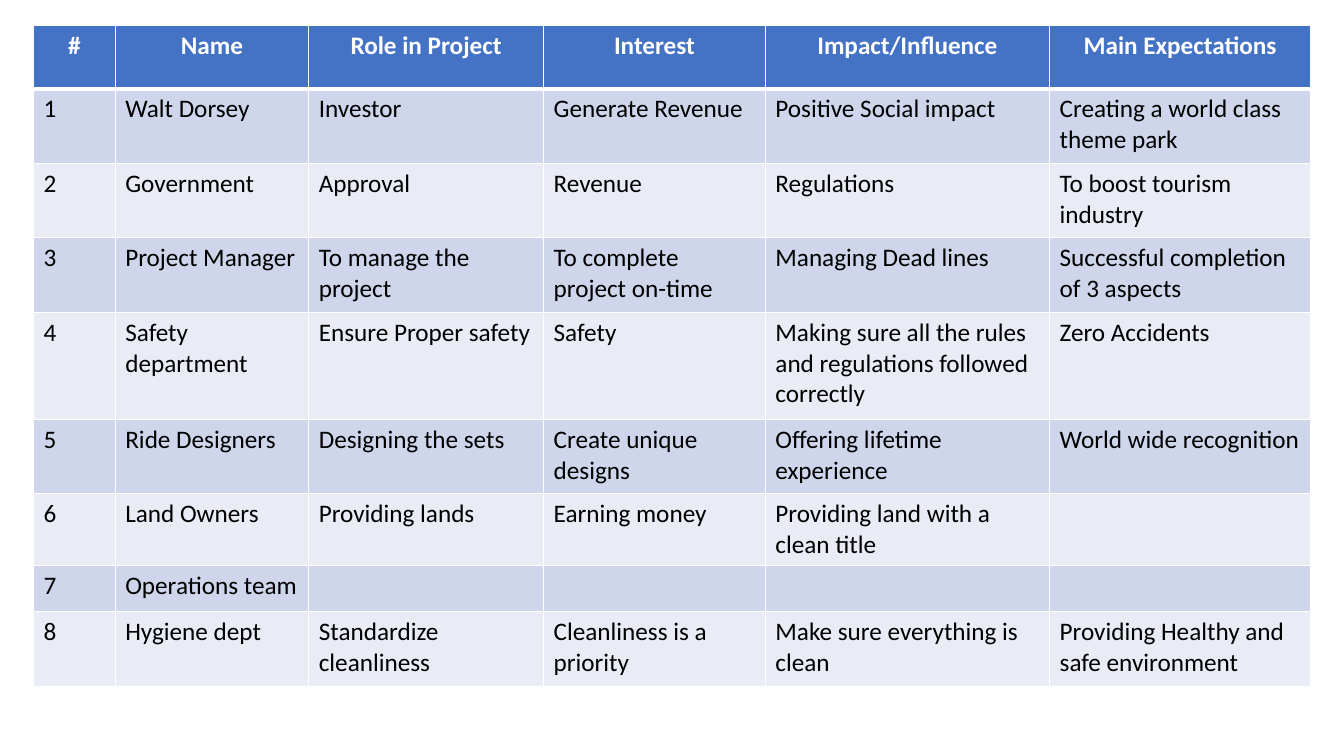
import lxml.etree
import pptx
import pptx.dml.color
import pptx.enum.text
import pptx.oxml.ns
import pptx.util

COLORS = {
    "header": "4472C4",
    "band_dark": "CFD5EA",
    "band_light": "E9EBF5",
    "white": "FFFFFF",
    "text": "000000",
}

COLUMN_WIDTHS = [58.32, 138.24, 167.76, 158.4, 203.04, 186.48]
ROW_HEIGHTS = [45.36, 53.28, 53.28, 53.28, 76.32, 53.28, 24.48, 33.12, 53.28]

HEADINGS = ["#", "Name", "Role in Project", "Interest", "Impact/Influence", "Main Expectations"]
STAKEHOLDERS = [
    ["Walt Dorsey", "Investor", "Generate Revenue", "Positive Social impact",
     "Creating a world class theme park"],
    ["Government", "Approval", "Revenue", "Regulations", "To boost tourism industry"],
    ["Project Manager", "To manage the project", "To complete project on-time",
     "Managing Dead lines", "Successful completion of 3 aspects"],
    ["Safety department", "Ensure Proper safety", "Safety",
     "Making sure all the rules and regulations followed correctly", "Zero Accidents"],
    ["Ride Designers", "Designing the sets", "Create unique designs",
     "Offering lifetime experience", "World wide recognition"],
    ["Land Owners", "Providing lands", "Earning money", "Providing land with a clean title", ""],
    ["Operations team", "", "", "", ""],
    ["Hygiene dept", "Standardize cleanliness", "Cleanliness is a priority",
     "Make sure everything is clean", "Providing Healthy and safe environment"],
]


class SlideBuilder:
    font = "Calibri"
    size = 18
    thin = 1
    thick = 3

    def __init__(self, slide):
        self.slide = slide

    def color(self, name):
        return pptx.dml.color.RGBColor.from_string(COLORS[name])

    def border(self, cell, side, width):
        qn = pptx.oxml.ns.qn
        properties = cell._tc.get_or_add_tcPr()
        line = lxml.etree.SubElement(properties, qn(f"a:ln{side}"), w=str(pptx.util.Pt(width)))
        fill = lxml.etree.SubElement(line, qn("a:solidFill"))
        lxml.etree.SubElement(fill, qn("a:srgbClr"), val=COLORS["white"])

    def cell(self, cell, text, row):
        is_header = row == 0
        widths = {
            "L": self.thin,
            "R": self.thin,
            "T": self.thick if row == 1 else self.thin,
            "B": self.thick if is_header else self.thin,
        }
        for side, width in widths.items():
            self.border(cell, side, width)
        band = "header" if is_header else "band_dark" if row % 2 else "band_light"
        cell.fill.solid()
        cell.fill.fore_color.rgb = self.color(band)
        if not text:
            return
        paragraph = cell.text_frame.paragraphs[0]
        if is_header:
            paragraph.alignment = pptx.enum.text.PP_ALIGN.CENTER
        run = paragraph.add_run()
        run.text = text
        run.font.name = self.font
        run.font.size = pptx.util.Pt(self.size)
        run.font.bold = is_header
        run.font.color.rgb = self.color("white" if is_header else "text")

    def table(self, left, top, widths, heights, rows):
        lengths = [pptx.util.Pt(v) for v in (left, top, sum(widths), sum(heights))]
        table = self.slide.shapes.add_table(len(heights), len(widths), *lengths).table
        for column, width in zip(table.columns, widths):
            column.width = pptx.util.Pt(width)
        for row, height in zip(table.rows, heights):
            row.height = pptx.util.Pt(height)
        for r, texts in enumerate(rows):
            for c, text in enumerate(texts):
                self.cell(table.cell(r, c), text, r)


def main():
    deck = pptx.Presentation()
    deck.slide_width = pptx.util.Pt(960)
    deck.slide_height = pptx.util.Pt(540)
    builder = SlideBuilder(deck.slides.add_slide(deck.slide_layouts[6]))
    numbered = [[str(number), *details] for number, details in enumerate(STAKEHOLDERS, 1)]
    builder.table(24, 18, COLUMN_WIDTHS, ROW_HEIGHTS, [HEADINGS, *numbered])
    deck.save("out.pptx")


if __name__ == "__main__":
    main()
